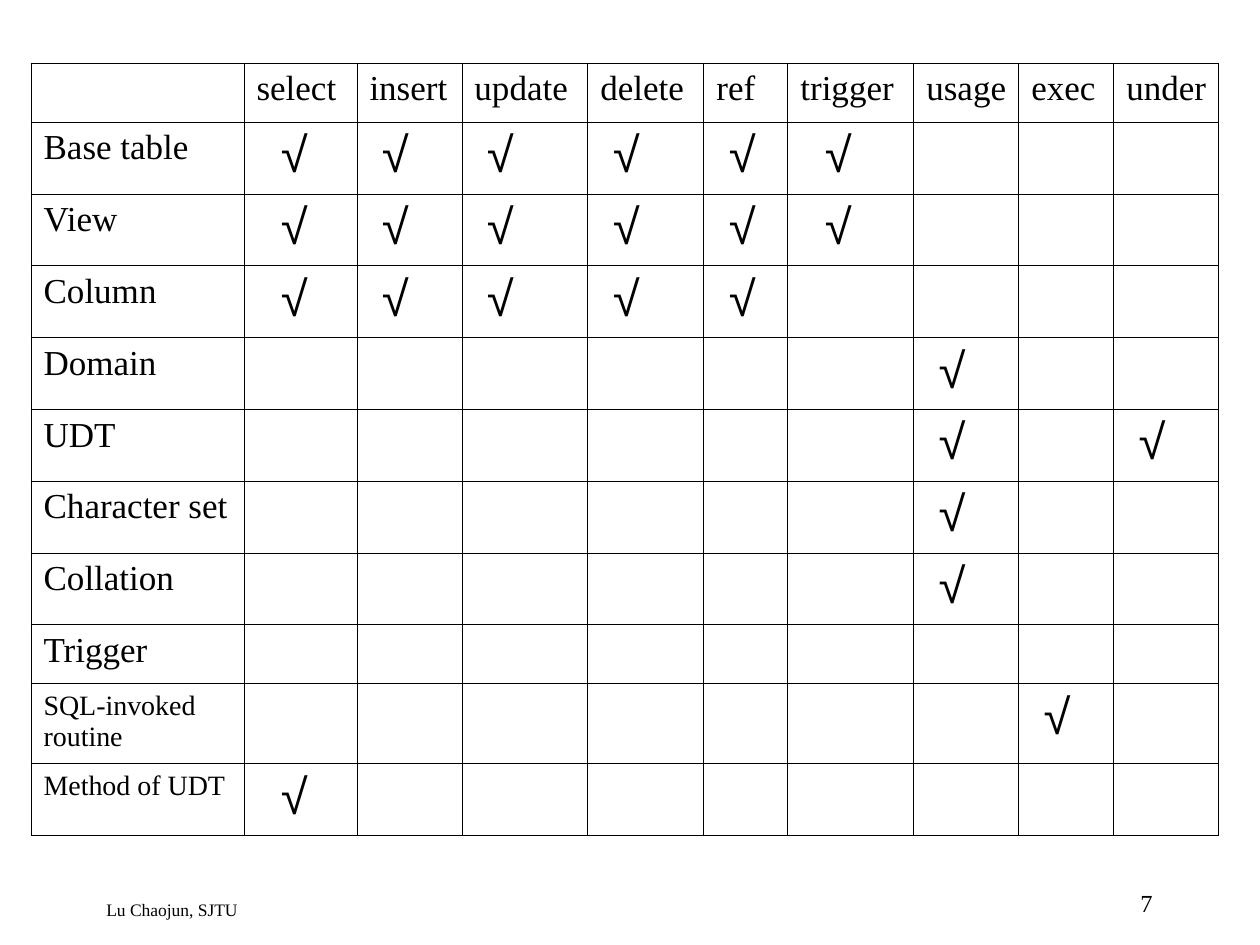
from pptx import Presentation
from pptx import util as u
from pptx.dml.color import RGBColor
from pptx.enum import text
from pptx.oxml import parse_xml
from pptx.oxml.ns import nsdecls

SIZE = (1260, 945)
SERIF, SANS = "Times New Roman", "Arial"
BLACK = "000000"
CHECK = "√"
LINE_PT = 0.45
PAD, INDENT, HEADER_PAD_RIGHT = 13, 12, 4

COLUMNS = [
    ("", 213, 0),
    ("select", 113, 2),
    ("insert", 105, 1),
    ("update", 126, 1),
    ("delete", 116, 1),
    ("ref", 84, 1),
    ("trigger", 126, 2),
    ("usage", 105, 1),
    ("exec", 95, 1),
    ("under", 105, 1),
]
DML = ["select", "insert", "update", "delete", "ref"]
ROWS = [
    ("Base table", 72, 20, DML + ["trigger"]),
    ("View", 71, 20, DML + ["trigger"]),
    ("Column", 72, 20, DML),
    ("Domain", 72, 20, ["usage"]),
    ("UDT", 72, 20, ["usage", "under"]),
    ("Character set", 71, 20, ["usage"]),
    ("Collation", 72, 20, ["usage"]),
    ("Trigger", 59, 20, []),
    ("SQL-invoked routine", 80, 16, ["exec"]),
    ("Method of UDT", 72, 16, ["select"]),
]
HEADER_HEIGHT = 59
TABLE_AT = (31, 63)
FOOTERS = [
    ("Lu Chaojun, SJTU", (94, 893, 731, 32), 10, text.PP_ALIGN.LEFT),
    ("7", (903, 882, 262, 42), 14, text.PP_ALIGN.RIGHT),
]


def px(n):
    return u.Emu(n * 7257)


def color(value):
    return RGBColor.from_string(value)


def write(tf, words, size, font=SERIF, align=None):
    p = tf.paragraphs[0]
    p.alignment = align
    r = p.add_run()
    r.text = words
    for name, value in {"name": font, "size": u.Pt(size)}.items():
        setattr(r.font, name, value)
    r.font.color.rgb = color(BLACK)


def border(cell):
    props = cell._tc.get_or_add_tcPr()
    for i, side in enumerate(("lnL", "lnR", "lnT", "lnB")):
        props.insert(i, parse_xml(
            f'<a:{side} {nsdecls("a")} w="{u.Pt(LINE_PT)}"><a:solidFill>'
            f'<a:srgbClr val="{BLACK}"/></a:solidFill></a:{side}>'))


def add_matrix(s):
    widths = [width for _, width, _ in COLUMNS]
    heights = [HEADER_HEIGHT] + [row[1] for row in ROWS]
    frame = s.shapes.add_table(
        len(heights), len(widths),
        *map(px, (*TABLE_AT, sum(widths), sum(heights))))
    table = frame.table
    table.first_row = table.horz_banding = False
    for column, width in zip(table.columns, widths):
        column.width = px(width)
    for row, height in zip(table.rows, heights):
        row.height = px(height)
    for cell in table.iter_cells():
        cell.fill.background()
        border(cell)
    for j, (privilege, _, steps) in enumerate(COLUMNS):
        if privilege:
            header = table.cell(0, j)
            header.margin_right = px(HEADER_PAD_RIGHT)
            write(header.text_frame, privilege, 20)
        for i, (label, _, size, granted) in enumerate(ROWS, 1):
            cell = table.cell(i, j)
            if j == 0:
                write(cell.text_frame, label, size)
            elif privilege in granted:
                cell.margin_left = px(PAD + INDENT * steps)
                write(cell.text_frame, CHECK, 28, SANS)


def add_footers(s):
    for words, box, size, align in FOOTERS:
        tf = s.shapes.add_textbox(*map(px, box)).text_frame
        tf.word_wrap = True
        write(tf, words, size, align=align)


def main():
    prs = Presentation()
    prs.slide_width, prs.slide_height = map(px, SIZE)
    s = prs.slides.add_slide(prs.slide_layouts[6])
    add_footers(s)
    add_matrix(s)
    prs.save("out.pptx")


if __name__ == "__main__":
    main()
